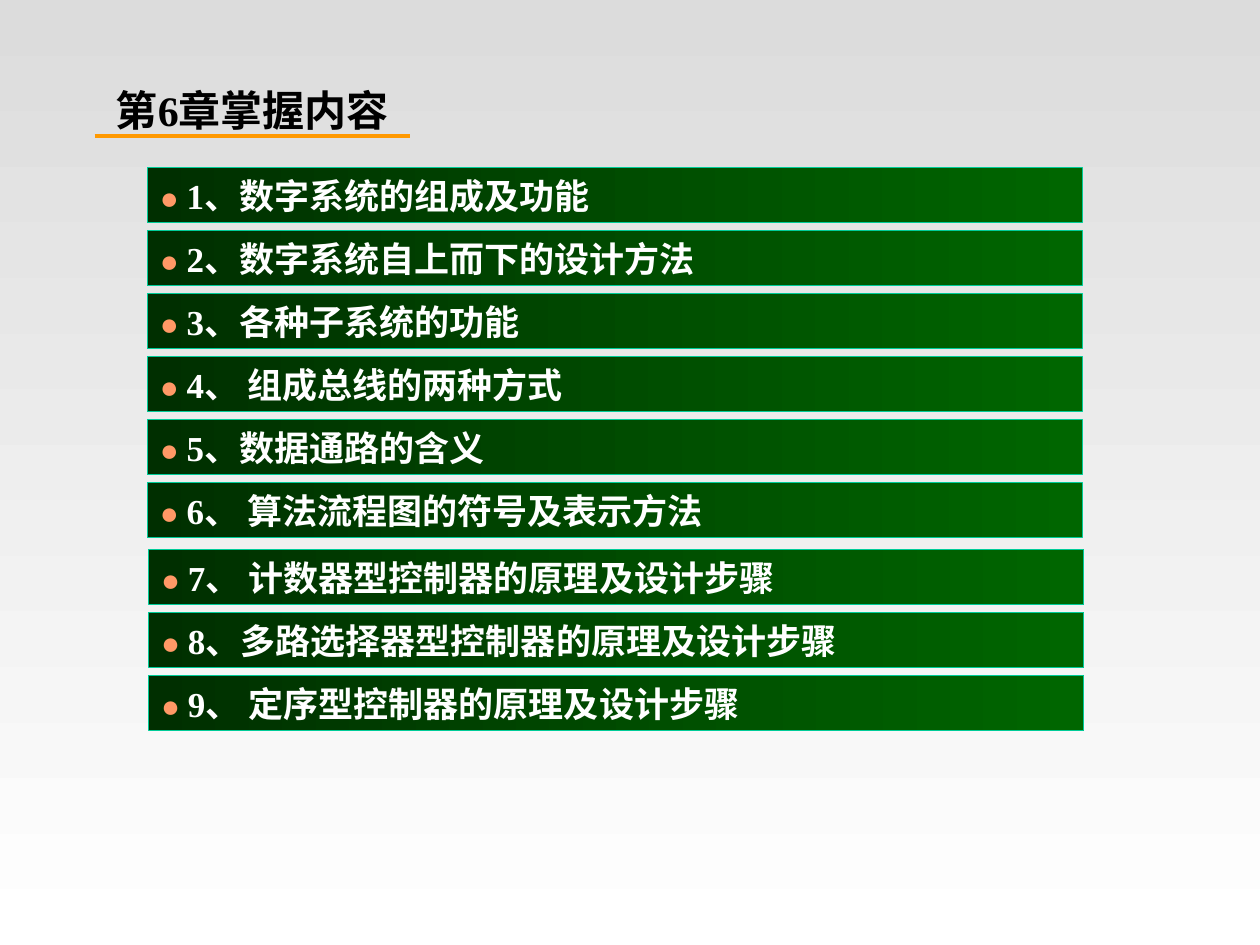
from pptx import Presentation
from pptx.dml.color import RGBColor
from pptx.enum.shapes import MSO_CONNECTOR, MSO_SHAPE
from pptx.enum.text import MSO_ANCHOR, MSO_AUTO_SIZE, PP_ALIGN
from pptx.oxml.ns import qn
from pptx.util import Inches, Pt
from lxml import etree

RECT = MSO_SHAPE.RECTANGLE
STRAIGHT = MSO_CONNECTOR.STRAIGHT
MIDDLE = MSO_ANCHOR.MIDDLE
GROW = MSO_AUTO_SIZE.SHAPE_TO_FIT_TEXT
LEFT, JUSTIFY = PP_ALIGN.LEFT, PP_ALIGN.JUSTIFY


def rgb(value):
    return RGBColor.from_string(value)


def set_gradient(fill, colors, angle):
    fill.gradient()
    fill.gradient_angle = angle
    for stop, color in zip(fill.gradient_stops, colors):
        stop.color.rgb = rgb(color)


class ChapterSlide:
    """Holds the style and the current slide, and adds each kind of element."""

    font = "Times New Roman"
    bar_colors = ("002F00", "006600")
    bar_line = "00CC99"
    accent = "FF9900"
    bullet = "FF9966"

    def __init__(self, prs):
        self.slide = prs.slides.add_slide(prs.slide_layouts[5])
        set_gradient(self.slide.background.fill, ("DCDCDC", "FFFFFF"), 270)

    def title(self, text, x, y, w, h):
        sp = self.slide.shapes.title
        sp.left, sp.top, sp.width, sp.height = map(Inches, (x, y, w, h))
        tf = sp.text_frame
        tf.margin_left = tf.margin_right = tf.margin_top = tf.margin_bottom = 0
        tf.vertical_anchor = MIDDLE
        tf.auto_size = GROW
        p = tf.paragraphs[0]
        p.text = text
        p.alignment = LEFT
        p.font.name = self.font
        p.font.size = Pt(24)
        p.font.bold = True
        p.font.color.rgb = rgb("000000")

    def rule(self, x1, x2, y):
        line = self.slide.shapes.add_connector(
            STRAIGHT, Inches(x1), Inches(y), Inches(x2), Inches(y))
        line.line.color.rgb = rgb(self.accent)
        line.line.width = Pt(2.25)
        etree.SubElement(line._element.spPr, qn("a:effectLst"))

    def bar(self, text, x, y, w, h):
        sp = self.slide.shapes.add_shape(
            RECT, Inches(x), Inches(y), Inches(w), Inches(h))
        sp.shadow.inherit = False
        set_gradient(sp.fill, self.bar_colors, 0)
        sp.line.color.rgb = rgb(self.bar_line)
        sp.line.width = Pt(0.5)
        tf = sp.text_frame
        tf.word_wrap = True
        tf.auto_size = GROW
        p = tf.paragraphs[0]
        p.alignment = JUSTIFY
        p.font.name = self.font
        self.run(p, "● ", 18, self.bullet, False)
        self.run(p, text, 20, "FFFFFF", True)

    def run(self, p, text, size, color, bold):
        r = p.add_run()
        r.text = text
        r.font.name = self.font
        r.font.size = Pt(size)
        r.font.bold = bold
        r.font.color.rgb = rgb(color)


def main():
    prs = Presentation()
    prs.slide_width, prs.slide_height = Inches(10), Inches(7.5)
    s = ChapterSlide(prs)
    s.title("第6章掌握内容", 0.92, 0.67, 2.58, 0.4)
    s.rule(0.75, 3.25, 1.08)
    groups = [
        (1.17, 1.33, ["1、数字系统的组成及功能",
                      "2、数字系统自上而下的设计方法",
                      "3、各种子系统的功能",
                      "4、 组成总线的两种方式",
                      "5、数据通路的含义",
                      "6、 算法流程图的符号及表示方法"]),
        (1.18, 4.36, ["7、 计数器型控制器的原理及设计步骤",
                      "8、多路选择器型控制器的原理及设计步骤",
                      "9、 定序型控制器的原理及设计步骤"]),
    ]
    for x, top, topics in groups:
        for i, topic in enumerate(topics):
            s.bar(topic, x, top + 0.5 * i, 7.42, 0.44)
    prs.save("out.pptx")


if __name__ == "__main__":
    main()
